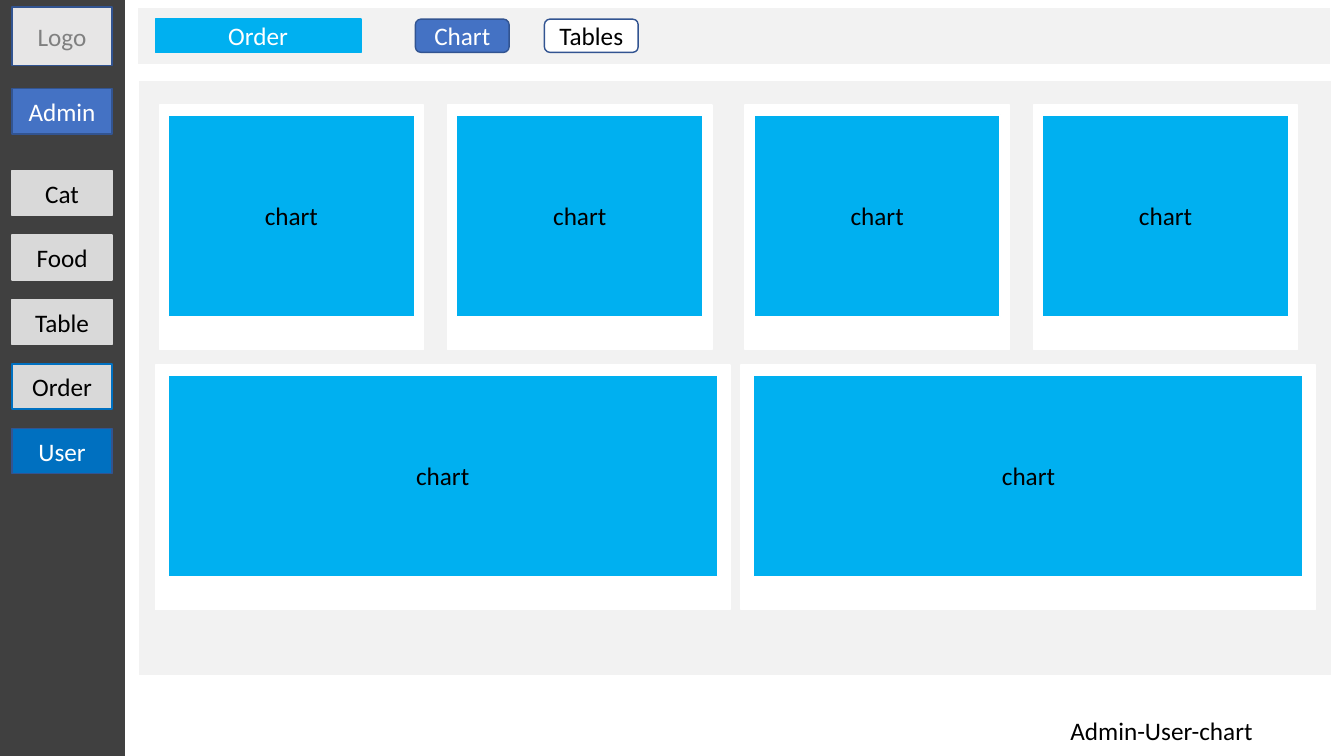
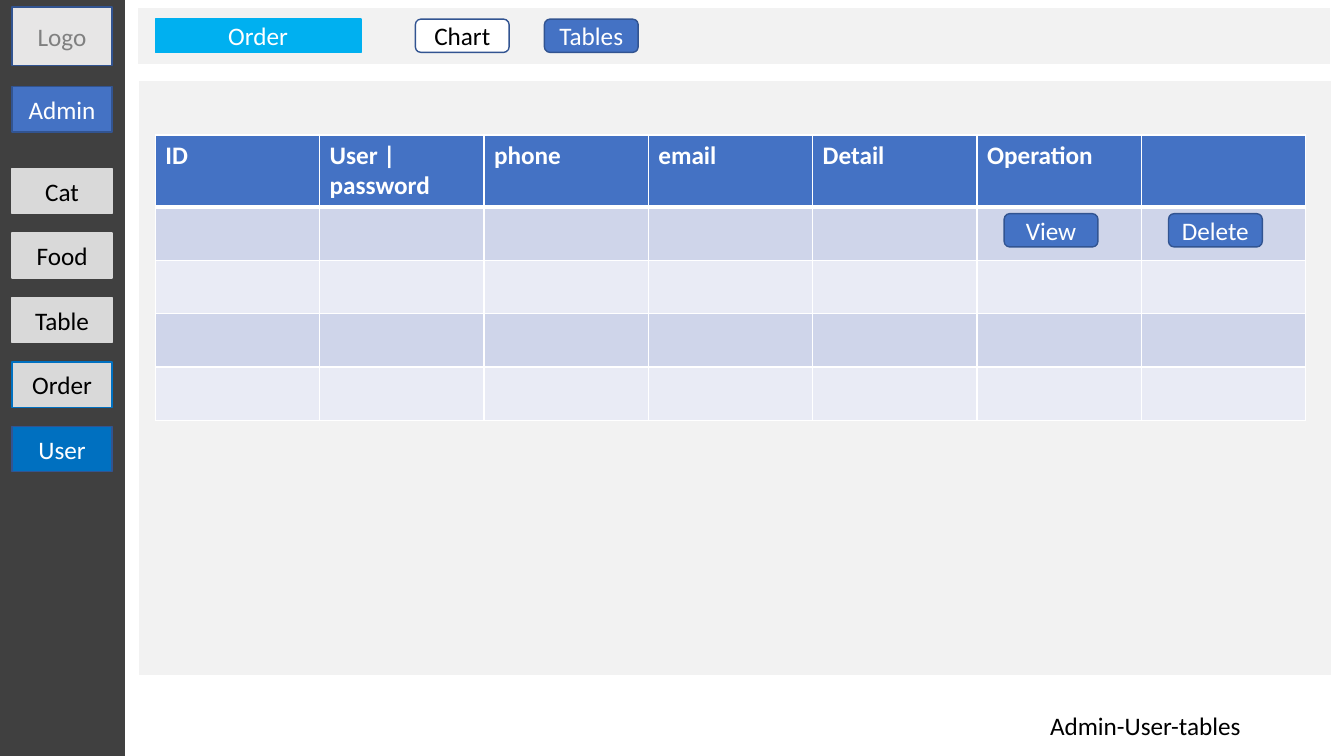
import pptx
import pptx.util
import pptx.dml.color
import pptx.enum.shapes
import pptx.enum.text
import pptx.oxml
import pptx.oxml.ns

Inches = pptx.util.Inches
RECTANGLE = pptx.enum.shapes.MSO_SHAPE.RECTANGLE
ROUNDED = pptx.enum.shapes.MSO_SHAPE.ROUNDED_RECTANGLE

COLORS = {
    "white": "FFFFFF", "black": "000000", "charcoal": "404040", "panel": "F2F2F2",
    "gray": "D9D9D9", "logo": "E7E6E6", "logo text": "808080", "blue": "4472C4",
    "edge": "325491", "cyan": "00B0F0", "strong blue": "0070C0",
    "odd row": "CFD5EA", "even row": "E9EBF5",
}
FONT = {"name": "Calibri", "size": pptx.util.Pt(18), "bold": False}

# Each style: fill, line, text
STYLES = {
    "sidebar": ("charcoal", "charcoal", "white"),
    "panel": ("panel", "white", "black"),
    "card": ("white", "white", "black"),
    "chart": ("cyan", "white", "black"),
    "heading": ("cyan", "cyan", "white"),
    "logo": ("logo", "edge", "logo text"),
    "item": ("gray", "gray", "black"),
    "outlined item": ("gray", "strong blue", "black"),
    "current item": ("strong blue", "edge", "white"),
    "active": ("blue", "edge", "white"),
    "inactive": ("white", "edge", "black"),
}

WIDTH, HEIGHT = 13.33, 7.5
MENU = [("Cat", "item"), ("Food", "item"), ("Table", "item"),
        ("Order", "outlined item"), ("User", "current item")]
MENU_LEFT, MENU_TOP, MENU_STEP = 0.12, 1.69, 0.64
ITEM_SIZE = (0.99, 0.45)
TABS = ["Chart", "Tables"]
TAB_LEFT, TAB_STEP = 4.12, 1.28
BUTTON_TOP, BUTTON_SIZE = 0.19, (0.93, 0.33)
CONTENT_LEFT = 1.54

# Each half of the page holds the same three cards: left, top, card width, chart width
HALF_WIDTH = 5.81
CARDS = [(1.58, 1.04, 2.62, 2.44), (4.44, 1.04, 2.62, 2.44), (1.54, 3.62, 5.7, 5.45)]
CARD_HEIGHT, CHART_HEIGHT, CHART_DROP = 2.43, 2, 0.1

HEADERS = ["ID", "User | password", "phone", "email", "Detail", "Operation", ""]
BODY_ROWS = 4
TABLE_TOP, COLUMN_WIDTH, HEADER_HEIGHT, ROW_HEIGHT = 1.34, 1.63, 0.7, 0.53
ROW_BUTTONS = {5: "View", 6: "Delete"}


def rgb(name):
    return pptx.dml.color.RGBColor.from_string(COLORS[name])


def format_font(font, color, **changes):
    for attribute, value in {**FONT, **changes}.items():
        setattr(font, attribute, value)
    font.color.rgb = rgb(color)


def add_box(slide, style, left, top, width, height, text="", outline=RECTANGLE):
    fill, line, text_color = STYLES[style]
    shape = slide.shapes.add_shape(
        outline, *(Inches(length) for length in (left, top, width, height)))
    shape.shadow.inherit = False
    shape.fill.solid()
    shape.fill.fore_color.rgb = rgb(fill)
    shape.line.color.rgb = rgb(line)
    shape.line.width = pptx.util.Pt(1)
    if text:
        frame = shape.text_frame
        frame.margin_left = frame.margin_right = 0
        frame.margin_top = frame.margin_bottom = 0
        frame.vertical_anchor = pptx.enum.text.MSO_ANCHOR.MIDDLE
        paragraph = frame.paragraphs[0]
        paragraph.text = text
        paragraph.alignment = pptx.enum.text.PP_ALIGN.CENTER
        format_font(paragraph.font, text_color)


def add_button(slide, style, left, top, text):
    add_box(slide, style, left, top, *BUTTON_SIZE, text, ROUNDED)


def add_title(slide, text, left, top):
    title = slide.shapes.title
    title.left, title.top = Inches(left), Inches(top)
    title.width, title.height = Inches(3.2), Inches(0.4)
    title.text_frame.vertical_anchor = pptx.enum.text.MSO_ANCHOR.TOP
    paragraph = title.text_frame.paragraphs[0]
    paragraph.text = text
    paragraph.alignment = pptx.enum.text.PP_ALIGN.CENTER
    format_font(paragraph.font, "black")


def add_page(presentation, active_tab, title, title_left, title_top, menu_shift=0):
    """Add a slide with the sidebar, the top bar, the tabs and the empty panel."""
    slide = presentation.slides.add_slide(presentation.slide_layouts[5])
    add_box(slide, "sidebar", 0, 0, 1.23, HEIGHT)
    add_box(slide, "logo", MENU_LEFT, 0.07, ITEM_SIZE[0], 0.58, "Logo")
    add_box(slide, "active", MENU_LEFT, 0.88 + menu_shift, *ITEM_SIZE, "Admin")
    for index, (label, style) in enumerate(MENU):
        top = MENU_TOP + index * MENU_STEP + menu_shift
        add_box(slide, style, MENU_LEFT, top, *ITEM_SIZE, label)
    add_box(slide, "panel", 1.36, 0.07, 11.84, 0.57)
    add_box(slide, "panel", 1.37, 0.8, 11.84, 5.9)
    add_box(slide, "heading", CONTENT_LEFT, BUTTON_TOP, 2.04, 0.33, "Order")
    for index, label in enumerate(TABS):
        style = "active" if label == active_tab else "inactive"
        add_button(slide, style, TAB_LEFT + index * TAB_STEP, BUTTON_TOP, label)
    add_title(slide, title, title_left, title_top)
    return slide


def add_cards(slide):
    for half in range(2):
        for left, top, card_width, chart_width in CARDS:
            left += half * HALF_WIDTH
            inset = (card_width - chart_width) / 2
            add_box(slide, "card", left, top, card_width, CARD_HEIGHT)
            add_box(slide, "chart", left + inset, top + CHART_DROP,
                    chart_width, CHART_HEIGHT, "chart")


def set_borders(cell, bottom_width):
    properties = cell._tc.get_or_add_tcPr()
    for side, points in (("L", 1), ("R", 1), ("T", 1), ("B", bottom_width)):
        properties.append(pptx.oxml.parse_xml(
            f'<a:ln{side} {pptx.oxml.ns.nsdecls("a")} w="{pptx.util.Pt(points)}">'
            f'<a:solidFill><a:srgbClr val="{COLORS["white"]}"/></a:solidFill></a:ln{side}>'))


def add_user_table(slide):
    column_count = len(HEADERS)
    table = slide.shapes.add_table(
        BODY_ROWS + 1, column_count, Inches(CONTENT_LEFT), Inches(TABLE_TOP),
        Inches(column_count * COLUMN_WIDTH),
        Inches(HEADER_HEIGHT + BODY_ROWS * ROW_HEIGHT)).table
    for column in table.columns:
        column.width = Inches(COLUMN_WIDTH)
    for row_index, row in enumerate(table.rows):
        is_header = row_index == 0
        row.height = Inches(HEADER_HEIGHT if is_header else ROW_HEIGHT)
        fill = "blue" if is_header else "odd row" if row_index % 2 else "even row"
        for cell, header in zip(row.cells, HEADERS):
            set_borders(cell, 3 if is_header else 1)
            cell.fill.solid()
            cell.fill.fore_color.rgb = rgb(fill)
            if is_header and header:
                cell.text = header
                format_font(cell.text_frame.paragraphs[0].font, "white", bold=True)
    for column_index, label in ROW_BUTTONS.items():
        left = CONTENT_LEFT + column_index * COLUMN_WIDTH + 0.27
        add_button(slide, "active", left, 2.12, label)


def main():
    presentation = pptx.Presentation()
    presentation.slide_width, presentation.slide_height = Inches(WIDTH), Inches(HEIGHT)
    add_cards(add_page(presentation, "Chart", "Admin-User-chart", 9.92, 7.05))
    add_user_table(add_page(presentation, "Tables", "Admin-User-tables", 9.76, 7, -0.02))
    presentation.save("out.pptx")


if __name__ == "__main__":
    main()
